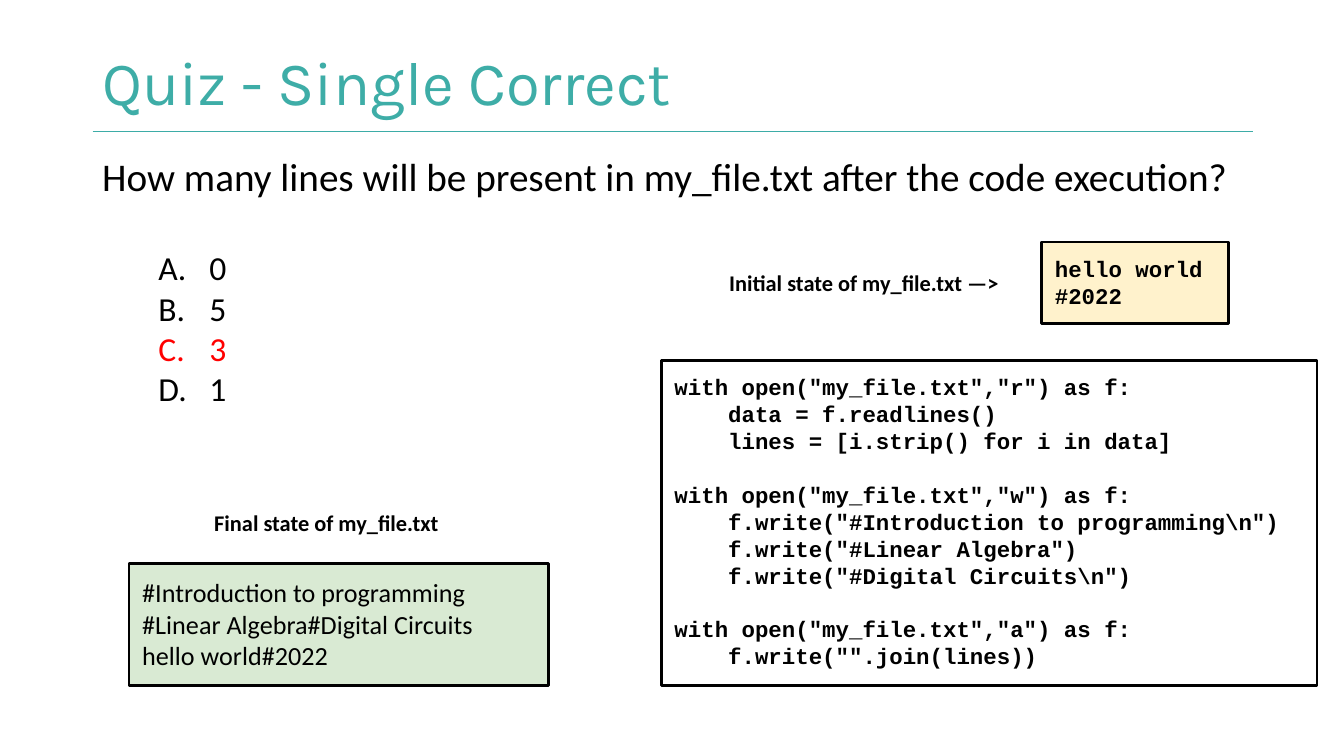
"""Build a quiz slide about reading, writing and appending to a text file."""
from lxml import etree
from pptx import Presentation
from pptx.dml.color import RGBColor
from pptx.enum import shapes, text
from pptx.oxml import ns
from pptx.util import Inches, Pt

BLACK, TEAL, RED = "000000", "3EADA7", "FF0000"
TITLE = "Quiz - Single Correct"
QUESTION = "How many lines will be present in my_file.txt after the code execution?"
OPTIONS = ["0", "5", "3", "1"]
CORRECT = "3"
INITIAL = ["hello world", "#2022"]
FINAL = ["#Introduction to programming", "#Linear Algebra#Digital Circuits", "hello world#2022"]
CODE = [
    ['with open("my_file.txt","r") as f:',
     "    data = f.readlines()",
     "    lines = [i.strip() for i in data]"],
    ['with open("my_file.txt","w") as f:',
     '    f.write("#Introduction to programming\\n")',
     '    f.write("#Linear Algebra")',
     '    f.write("#Digital Circuits\\n")'],
    ['with open("my_file.txt","a") as f:',
     '    f.write("".join(lines))'],
]
CODE_GAP = 14.4
LABELS = [
    ("Initial state of my_file.txt —>", (5.23, 1.9, 2.4, 0.4)),
    ("Final state of my_file.txt", (1.23, 3.69, 2.4, 0.4)),
]


def rgb(color):
    return RGBColor.from_string(color)


def set_frame(s, inset, anchor=text.MSO_ANCHOR.TOP):
    tf = s.text_frame
    tf.word_wrap = True
    tf.vertical_anchor = anchor
    tf.margin_left = tf.margin_right = Inches(inset[0])
    tf.margin_top = tf.margin_bottom = Inches(inset[1])
    return tf


def write(tf, lines, size, font="Calibri", bold=False, color=BLACK, align=text.PP_ALIGN.LEFT):
    for i, line in enumerate(lines):
        p = tf.paragraphs[0] if i == 0 else tf.add_paragraph()
        p.alignment = align
        r = p.add_run()
        r.text = line
        r.font.name, r.font.size, r.font.bold = font, Pt(size), bold
        r.font.color.rgb = rgb(color)
    return tf.paragraphs


def add_text(slide, box, inset=(0.1, 0.1), anchor=text.MSO_ANCHOR.TOP):
    return set_frame(slide.shapes.add_textbox(*map(Inches, box)), inset, anchor)


def add_panel(slide, box, fill=None):
    s = slide.shapes.add_shape(shapes.MSO_SHAPE.RECTANGLE, *map(Inches, box))
    s.shadow.inherit = False
    if fill:
        s.fill.solid()
        s.fill.fore_color.rgb = rgb(fill)
    else:
        s.fill.background()
    s.line.color.rgb = rgb(BLACK)
    s.line.width = Pt(1.5)
    return set_frame(s, (0.1, 0.1))


def add_rule(slide, x1, x2, y):
    s = slide.shapes.add_connector(shapes.MSO_CONNECTOR.STRAIGHT, *map(Inches, (x1, y, x2, y)))
    s.line.color.rgb = rgb("3DACA7")
    s.line.width = Pt(0.75)
    etree.SubElement(s._element.spPr, ns.qn("a:effectLst"))


def add_letter(p, color):
    pPr = p._p.get_or_add_pPr()
    pPr.set("marL", str(Inches(0.5)))
    pPr.set("indent", str(Inches(-0.38)))
    clr = etree.SubElement(pPr, ns.qn("a:buClr"))
    etree.SubElement(clr, ns.qn("a:srgbClr"), val=color)
    etree.SubElement(pPr, ns.qn("a:buFont"), typeface="Calibri")
    etree.SubElement(pPr, ns.qn("a:buAutoNum"), type="alphaUcPeriod")


def main():
    prs = Presentation()
    prs.slide_width = Inches(10)
    prs.slide_height = prs.slide_width * 9 // 16
    slide = prs.slides.add_slide(prs.slide_layouts[6])

    add_rule(slide, 0.69, 9.32, 0.98)
    tf = add_text(slide, (0.69, 0.3, 7.75, 0.68), (0.07, 0.04), text.MSO_ANCHOR.MIDDLE)
    write(tf, [TITLE], 33, "Karla", color=TEAL)[0].line_spacing = 0.9
    tf = add_text(slide, (0.69, 1.13, 8.62, 0.39), (0.07, 0.04))
    write(tf, [QUESTION], 21)[0].line_spacing = 0.9

    write(add_panel(slide, (7.75, 1.8, 1.39, 0.61), "FFF2CC"), INITIAL, 12, "Courier New", True)
    for label, box in LABELS:
        write(add_text(slide, box), [label], 12, bold=True, align=text.PP_ALIGN.CENTER)

    lines = [line for block in CODE for line in block]
    paragraphs = write(add_panel(slide, (4.92, 2.68, 4.88, 2.42)), lines, 12, "Courier New", True)
    start = 0
    for block in CODE[:-1]:
        start += len(block)
        paragraphs[start].space_before = Pt(CODE_GAP)

    options = write(add_text(slide, (0.96, 1.74, 1.92, 1.41)), OPTIONS, 18)
    for option, p in zip(OPTIONS, options):
        color = RED if option == CORRECT else BLACK
        add_letter(p, color)
        p.runs[0].font.color.rgb = rgb(color)

    write(add_panel(slide, (0.96, 4.19, 3.12, 0.91), "D9EAD3"), FINAL, 14)
    prs.save("out.pptx")


if __name__ == "__main__":
    main()
